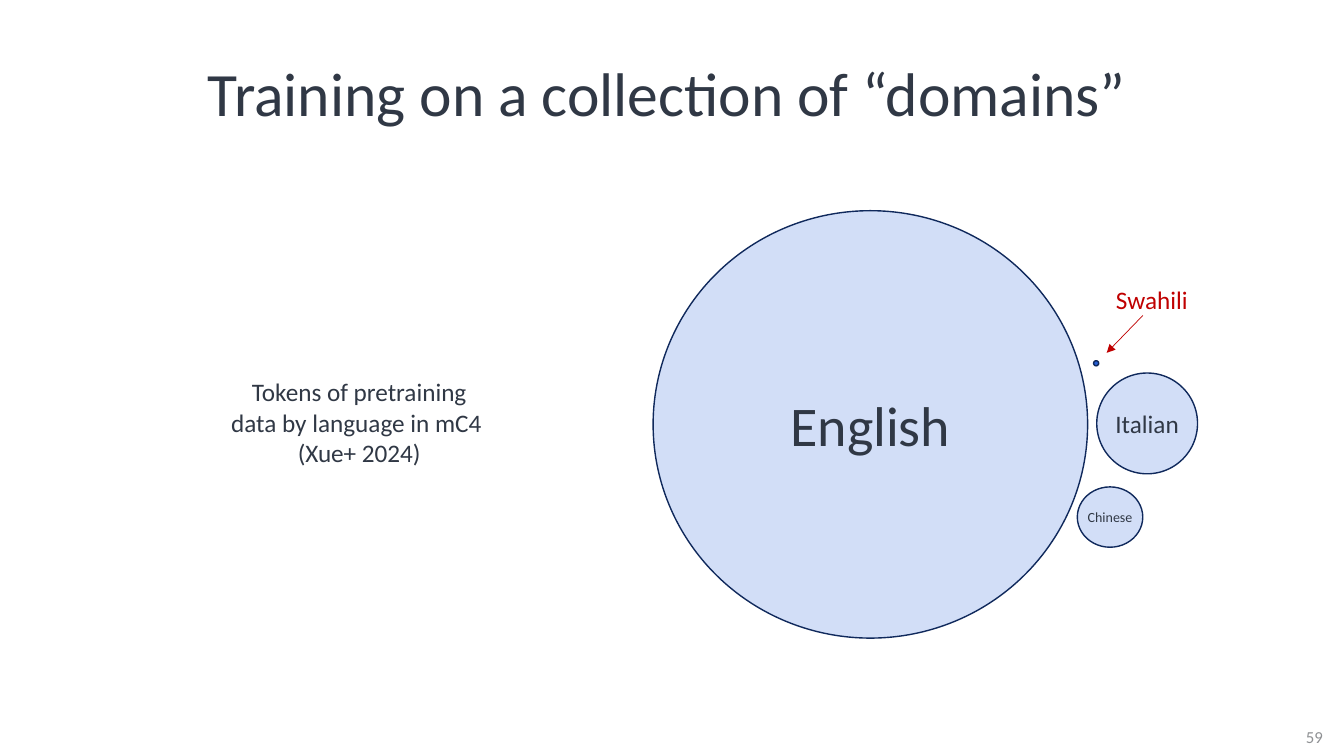
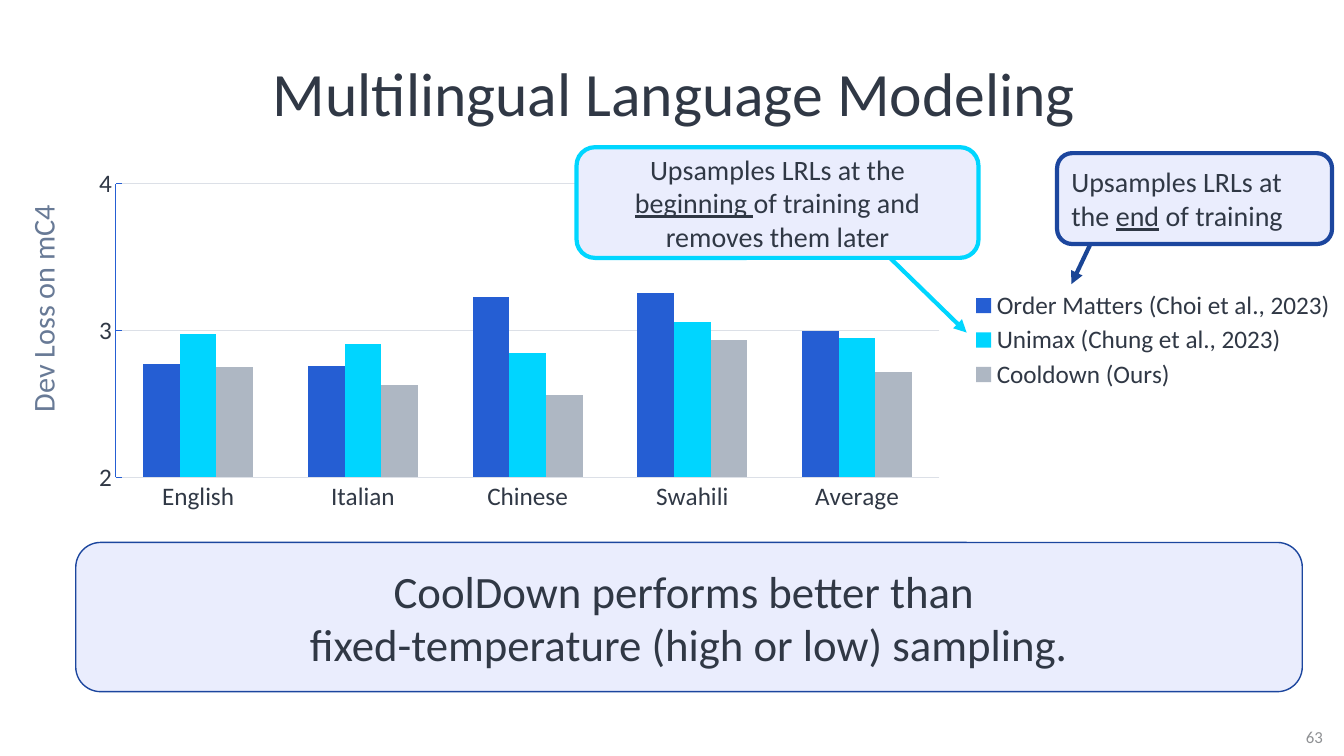
from lxml.etree import SubElement
from pptx import Presentation
from pptx.chart.data import CategoryChartData
from pptx.dml.color import RGBColor
from pptx.enum.chart import XL_CHART_TYPE, XL_LEGEND_POSITION, XL_TICK_MARK
from pptx.enum.shapes import MSO_CONNECTOR, MSO_SHAPE
from pptx.enum.text import MSO_ANCHOR, PP_ALIGN
from pptx.oxml.ns import qn
from pptx.util import Cm, Pt

# Shared look
FONT = "Calibri"
INK, GREY, SLATE, RED = "303845", "8F9194", "687A96", "C00000"
NAVY, DEEP, ROYAL, BLUE = "10295C", "1C469E", "1A4595", "255ED3"
SKY, PALE = "D2DEF7", "EAEDFD"
CYAN, AQUA, STEEL, GRID = "00D6FF", "00D5FF", "AEB7C3", "DCE0E7"


def color(code):
    return RGBColor.from_string(code)


def style(font, size, code):
    font.name = FONT
    font.size = Pt(size)
    font.color.rgb = color(code)


def stroke(line, code, width):
    line.color.rgb = color(code)
    line.width = Pt(width)


def write(shape, text, size, code=INK, align=PP_ALIGN.CENTER,
          anchor=MSO_ANCHOR.MIDDLE, under=None):
    """Fill a shape with text; the phrase in under is underlined."""
    frame = shape.text_frame
    frame.word_wrap = True
    frame.vertical_anchor = anchor
    if under:
        for part in text.partition(under):
            run = frame.paragraphs[0].add_run()
            run.text = part
            run.font.underline = part == under
    else:
        frame.text = text
    for para in frame.paragraphs:
        para.alignment = align
        for run in para.runs:
            style(run.font, size, code)
    return frame


def label(slide, box, text, size, code=INK, anchor=MSO_ANCHOR.TOP):
    shape = slide.shapes.add_textbox(*map(Cm, box))
    write(shape, text, size, code, anchor=anchor)
    return shape


def panel(slide, kind, box, fill, edge, width):
    shape = slide.shapes.add_shape(kind, *map(Cm, box))
    shape.shadow.inherit = False
    shape.fill.solid()
    shape.fill.fore_color.rgb = color(fill)
    stroke(shape.line, edge, width)
    return shape


def circle(slide, box, fill=SKY):
    return panel(slide, MSO_SHAPE.OVAL, box, fill, NAVY, 1)


def card(slide, box, edge, width):
    return panel(slide, MSO_SHAPE.ROUNDED_RECTANGLE, box, PALE, edge, width)


def arrow(slide, ends, code, width):
    line = slide.shapes.add_connector(MSO_CONNECTOR.STRAIGHT, *map(Cm, ends))
    stroke(line.line, code, width)
    props = line._element.spPr
    SubElement(props.find(qn("a:ln")), qn("a:tailEnd"), type="triangle")
    SubElement(props, qn("a:effectLst"))


def start(deck, title, number):
    """Add a slide with its title and page number."""
    slide = deck.slides.add_slide(deck.slide_layouts[6])
    head = label(slide, (0.56, 1.04, 32.87, 2.79), title, 44,
                 anchor=MSO_ANCHOR.MIDDLE)
    head.text_frame.paragraphs[0].line_spacing = 0.9
    label(slide, (32.39, 18.06, 1.47, 1.02), str(number), 12, GREY,
          MSO_ANCHOR.MIDDLE)
    return slide


def place(owner, box, inner=False):
    """Fix a chart part at fractions of the chart area."""
    layout = owner.find(qn("c:layout"))
    if layout is None:
        layout = SubElement(owner, qn("c:layout"))
        owner.remove(layout)
        owner.insert(0 if inner else 1, layout)
    manual = SubElement(layout, qn("c:manualLayout"))
    if inner:
        SubElement(manual, qn("c:layoutTarget"), val="inner")
    for key in ("xMode", "yMode"):
        SubElement(manual, qn("c:" + key), val="edge")
    for key, val in zip("xywh", box):
        SubElement(manual, qn("c:" + key), val=str(val))


def bars(slide, box, cats, rows):
    data = CategoryChartData()
    data.categories = cats
    for name, _, vals in rows:
        data.add_series(name, vals)
    chart = slide.shapes.add_chart(
        XL_CHART_TYPE.COLUMN_CLUSTERED, *map(Cm, box), data).chart
    chart.has_title = False
    style(chart.font, 18, INK)

    # Columns
    plot = chart.plots[0]
    plot.gap_width, plot.overlap = 150, 0
    plot.vary_by_categories = False
    for series, (_, code, _) in zip(plot.series, rows):
        series.format.fill.solid()
        series.format.fill.fore_color.rgb = color(code)

    # Axes
    down, along = chart.value_axis, chart.category_axis
    down.minimum_scale, down.maximum_scale, down.major_unit = 2, 4, 1
    stroke(down.major_gridlines.format.line, GRID, 0.75)
    for axis, tick, code in ((down, XL_TICK_MARK.INSIDE, BLUE),
                             (along, XL_TICK_MARK.NONE, GRID)):
        axis.major_tick_mark = tick
        axis.minor_tick_mark = XL_TICK_MARK.NONE
        stroke(axis.format.line, code, 0.75)
        style(axis.tick_labels.font, 18, INK)

    # Legend and layout
    chart.has_legend = True
    legend = chart.legend
    legend.position = XL_LEGEND_POSITION.RIGHT
    legend.include_in_layout = False
    style(legend.font, 18, INK)
    place(legend._element, (0.7, 0.35, 0.3, 0.3))
    area = chart._chartSpace.chart.plotArea
    place(area, (0.034, 0.064, 0.648, 0.82), inner=True)


def domains(deck):
    slide = start(deck, "Training on a collection of “domains” ", 59)
    label(slide, (5.13, 9.37, 7.85, 2.57),
          "Tokens of pretraining\ndata by language in mC4 \n(Xue+ 2024)", 18)
    label(slide, (27.64, 7.04, 2.92, 1.02), "Swahili ", 18, RED)

    # Languages, sized by tokens
    for name, size, box in (("English", 40, (16.46, 5.31, 10.95, 10.77)),
                            ("Italian", 18, (27.64, 9.4, 2.54, 2.54)),
                            ("Chinese", 10, (27.15, 12.27, 1.65, 1.52))):
        frame = write(circle(slide, box), name, size)
        frame.margin_left = frame.margin_right = 0
    circle(slide, (27.56, 9.09, 0.13, 0.13), BLUE)
    arrow(slide, (28.8, 7.95, 27.89, 8.89), RED, 0.5)


def results(deck):
    slide = start(deck, "Multilingual Language Modeling", 63)
    bars(slide, (1.83, 4.06, 32.03, 9.02),
         ("English", "Italian", "Chinese", "Swahili", "Average"),
         (("Order Matters (Choi et al., 2023)", BLUE,
           (2.77, 2.76, 3.23, 3.26, 3)),
          ("Unimax (Chung et al., 2023)", AQUA,
           (2.98, 2.91, 2.85, 3.06, 2.95)),
          ("Cooldown (Ours)", STEEL,
           (2.75, 2.63, 2.56, 2.94, 2.72))))
    label(slide, (-2.62, 7.19, 7.39, 1.17), "Dev Loss on mC4", 21.6,
          SLATE).rotation = 270

    # Callouts
    write(card(slide, (14.53, 3.71, 10.13, 2.79), CYAN, 3),
          "Upsamples LRLs at the beginning of training and removes them later",
          20, under="beginning ")
    arrow(slide, (27.48, 6.15, 27, 7.16), ROYAL, 3)
    write(card(slide, (26.64, 3.86, 6.93, 2.29), DEEP, 3),
          "Upsamples LRLs at the end of training", 20,
          align=PP_ALIGN.LEFT, under="end")
    arrow(slide, (22.43, 6.5, 24.36, 8.38), CYAN, 3)

    # Takeaway
    write(card(slide, (1.91, 13.67, 30.91, 3.76), DEEP, 1),
          "CoolDown performs better than \n"
          "fixed-temperature (high or low) sampling.", 32)


def main():
    deck = Presentation()
    deck.slide_width, deck.slide_height = Cm(33.87), Cm(19.05)
    domains(deck)
    results(deck)
    deck.save("out.pptx")


if __name__ == "__main__":
    main()
